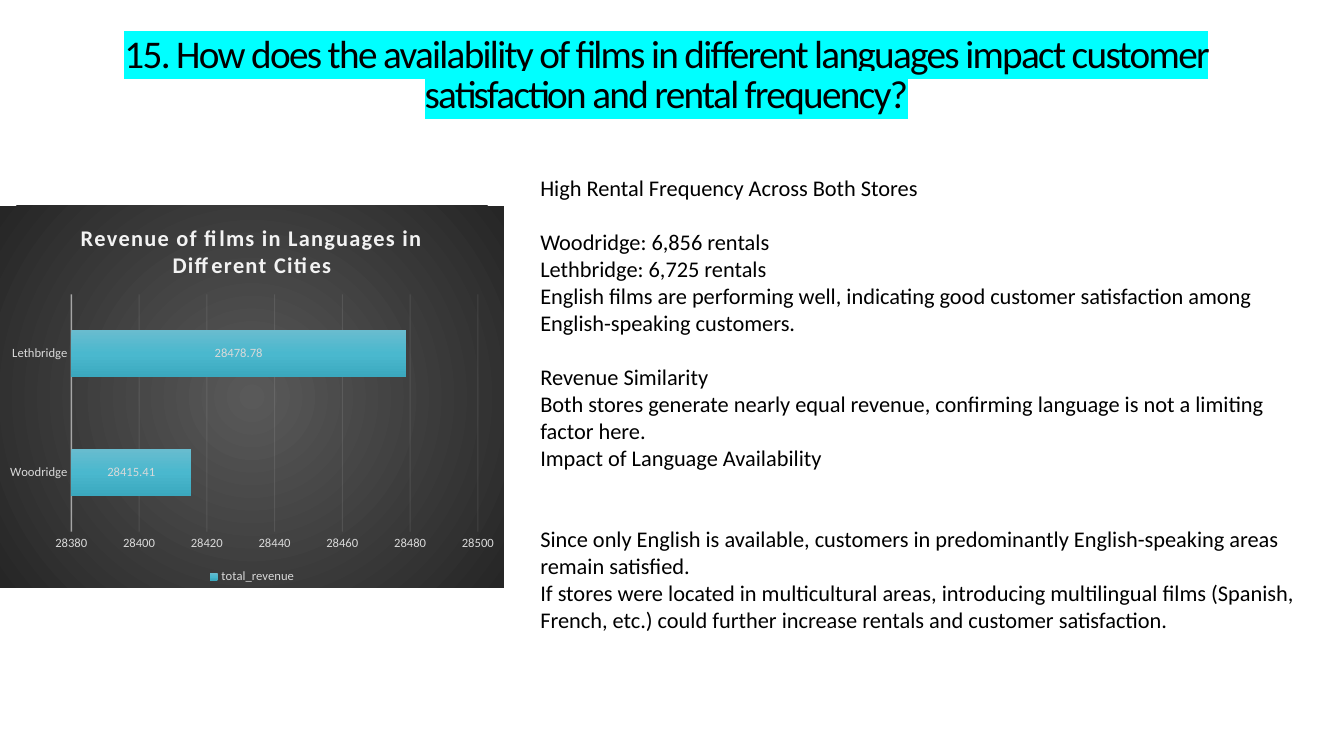
from dataclasses import dataclass

from lxml import etree
from pptx import Presentation
from pptx.chart.data import CategoryChartData
from pptx.dml.color import RGBColor
from pptx.enum.chart import XL_CHART_TYPE, XL_LABEL_POSITION, XL_LEGEND_POSITION, XL_TICK_MARK
from pptx.enum.text import MSO_ANCHOR, MSO_AUTO_SIZE, PP_ALIGN
from pptx.oxml import parse_xml
from pptx.oxml.ns import nsdecls, qn
from pptx.util import Emu, Pt

BARS = XL_CHART_TYPE.BAR_STACKED
CENTER = XL_LABEL_POSITION.CENTER
BOTTOM = XL_LEGEND_POSITION.BOTTOM
NO_TICK = XL_TICK_MARK.NONE
MIDDLE, TOP = MSO_ANCHOR.MIDDLE, MSO_ANCHOR.TOP
NO_FIT = MSO_AUTO_SIZE.NONE
MID, LEFT = PP_ALIGN.CENTER, PP_ALIGN.LEFT

PX = 9525  # 96 px to the inch
FACE = "Calibri"
ROW = 19.5  # height of a body line in points
COLORS = {
    "text": "000000",
    "mark": "00FFFF",
    "label": "D9D9D9",
    "light": "F2F2F2",
    "glow": "595959",
    "edge": "262626",
    "bar top": "69BCCF",
    "bar mid": "4AB8CE",
    "bar end": "3BA8BE",
}


@dataclass(frozen=True)
class Box:
    x: int
    y: int
    w: int
    h: int


@dataclass(frozen=True)
class Point:
    text: str
    gap: int = 0  # empty lines above


TITLE = "15. How does the availability of films in different languages impact customer satisfaction and rental frequency?"
POINTS = [
    Point("High Rental Frequency Across Both Stores"),
    Point("Woodridge: 6,856 rentals", 1),
    Point("Lethbridge: 6,725 rentals"),
    Point("English films are performing well, indicating good customer satisfaction among English-speaking customers."),
    Point("Revenue Similarity", 1),
    Point("Both stores generate nearly equal revenue, confirming language is not a limiting factor here."),
    Point("Impact of Language Availability"),
    Point("Since only English is available, customers in predominantly English-speaking areas remain satisfied.", 2),
    Point("If stores were located in multicultural areas, introducing multilingual films (Spanish, French, etc.) "
          "could further increase rentals and customer satisfaction."),
]


def place(shape, box: Box) -> None:
    shape.left, shape.top = Emu(box.x * PX), Emu(box.y * PX)
    shape.width, shape.height = Emu(box.w * PX), Emu(box.h * PX)


def style(font, size: int, color: str, bold: bool = False) -> None:
    font.name, font.size, font.bold = FACE, Pt(size), bold
    font.color.rgb = RGBColor.from_string(COLORS[color])


def blend(names: list[str], aim: str):
    """Gradient fill with evenly spread stops."""
    last = len(names) - 1
    stops = "".join(
        f'<a:gs pos="{100000 * i // last}"><a:srgbClr val="{COLORS[name]}"/></a:gs>'
        for i, name in enumerate(names)
    )
    return parse_xml(f'<a:gradFill {nsdecls("a")}><a:gsLst>{stops}</a:gsLst>{aim}</a:gradFill>')


def rule(line, owner, width: float, share: int) -> None:
    """Light line that is partly opaque, share in percent."""
    line.width = Pt(width)
    line.color.rgb = RGBColor.from_string(COLORS["light"])
    tint = next(owner.find(qn("c:spPr")).iter(qn("a:srgbClr")))
    etree.SubElement(tint, qn("a:alpha")).set("val", str(share * 1000))


def add_title(slide) -> None:
    title = slide.shapes.title
    place(title, Box(69, 0, 1131, 145))
    frame = title.text_frame
    frame.text = TITLE
    frame.vertical_anchor, frame.auto_size = MIDDLE, NO_FIT
    para = frame.paragraphs[0]
    para.alignment, para.line_spacing = MID, 0.85
    style(para.font, 28, "text")
    props = para.runs[0].font._element
    props.set("spc", "-120")
    mark = etree.SubElement(props, qn("a:highlight"))
    etree.SubElement(mark, qn("a:srgbClr")).set("val", COLORS["mark"])


def add_points(slide) -> None:
    body = slide.placeholders[1]
    place(body, Box(505, 161, 757, 527))
    frame = body.text_frame
    frame.text = "\n".join(point.text for point in POINTS)
    frame.vertical_anchor, frame.auto_size = TOP, NO_FIT
    for para, point in zip(frame.paragraphs, POINTS):
        para.alignment = LEFT
        para.space_before = Pt(point.gap * ROW)
        style(para.font, 16, "text")
        props = para._p.get_or_add_pPr()
        props.set("marL", "0")
        props.set("indent", "0")
        props.find(qn("a:defRPr")).addprevious(parse_xml(f'<a:buNone {nsdecls("a")}/>'))


def add_revenue(slide) -> None:
    data = CategoryChartData()
    data.categories = ["Woodridge", "Lethbridge"]
    data.add_series("total_revenue", [28415.41, 28478.78])
    box = Box(0, 196, 480, 364)
    spot = [Emu(n * PX) for n in (box.x, box.y, box.w, box.h)]
    chart = slide.shapes.add_chart(BARS, *spot, data).chart
    style(chart.font, 10, "text")

    # Dark backdrop
    back = parse_xml(f'<c:spPr {nsdecls("c", "a")}><a:ln><a:noFill/></a:ln></c:spPr>')
    aim = '<a:path path="circle"><a:fillToRect l="50000" t="50000" r="50000" b="50000"/></a:path>'
    back.insert(0, blend(["glow", "edge"], aim))
    chart._chartSpace.find(qn("c:chart")).addnext(back)

    # Heading and legend
    chart.has_title = True
    frame = chart.chart_title.text_frame
    frame.text = "Revenue of films in Languages in Different Cities"
    head = frame.paragraphs[0].font
    style(head, 16, "light", True)
    head._element.set("spc", "100")
    chart.has_legend = True
    chart.legend.position, chart.legend.include_in_layout = BOTTOM, False
    style(chart.legend.font, 9, "label")

    # Axes
    cats, vals = chart.category_axis, chart.value_axis
    rule(cats.format.line, cats._element, 1, 54)
    vals.minimum_scale, vals.maximum_scale, vals.major_unit = 28380, 28500, 20
    vals.format.line.fill.background()
    grid = vals.major_gridlines.format.line
    rule(grid, vals._element.find(qn("c:majorGridlines")), 0.75, 10)
    for axis in (cats, vals):
        axis.major_tick_mark = axis.minor_tick_mark = NO_TICK
        style(axis.tick_labels.font, 9, "label")

    # Bars and their labels
    plot = chart.plots[0]
    plot.gap_width, plot.overlap, plot.vary_by_categories = 150, 100, False
    bars = plot.series[0]
    bars.invert_if_negative = False
    shades = ["bar top", "bar mid", "bar end"]
    bars._element.get_or_add_spPr().insert(0, blend(shades, '<a:lin ang="5400000" scaled="0"/>'))
    labels = bars.data_labels
    labels.show_value, labels.position = True, CENTER
    style(labels.font, 9, "label")


def main() -> None:
    deck = Presentation()
    deck.slide_width, deck.slide_height = Emu(1280 * PX), Emu(720 * PX)
    slide = deck.slides.add_slide(deck.slide_layouts[1])
    add_title(slide)
    add_revenue(slide)
    add_points(slide)
    deck.save("out.pptx")


if __name__ == "__main__":
    main()
